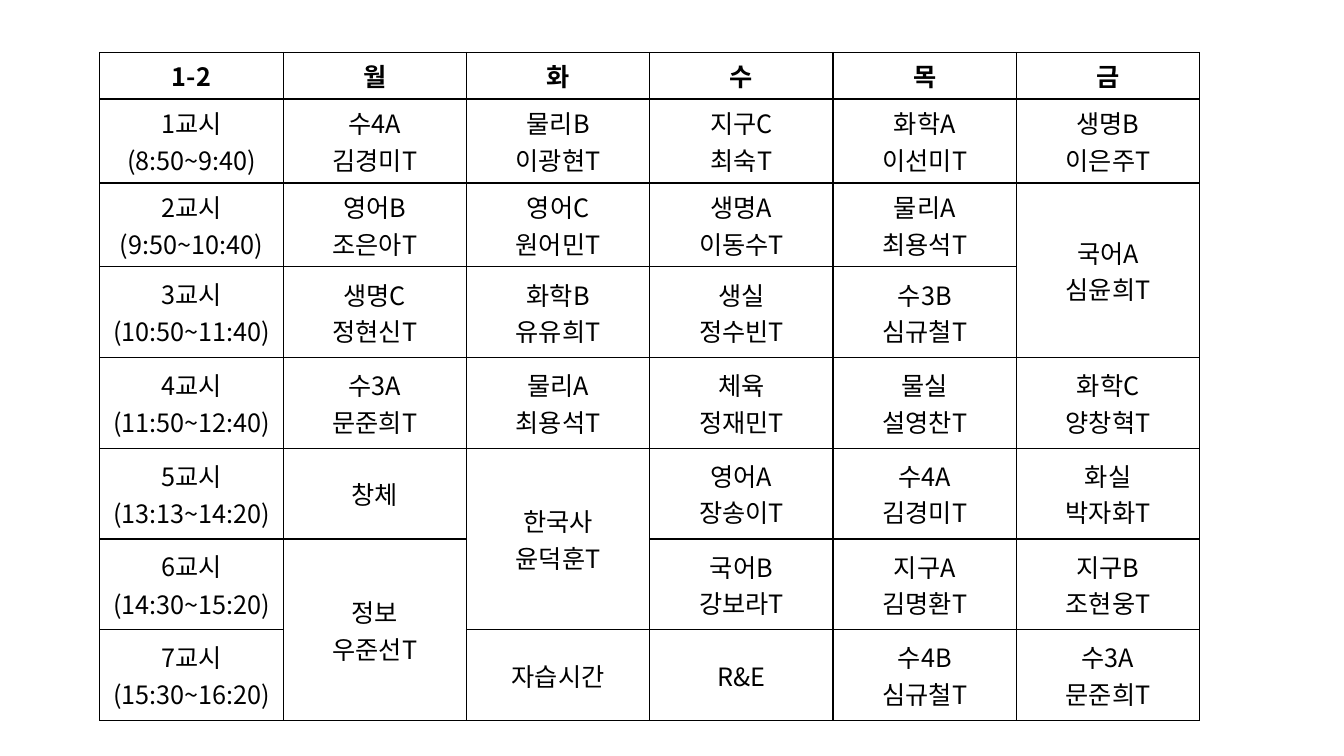
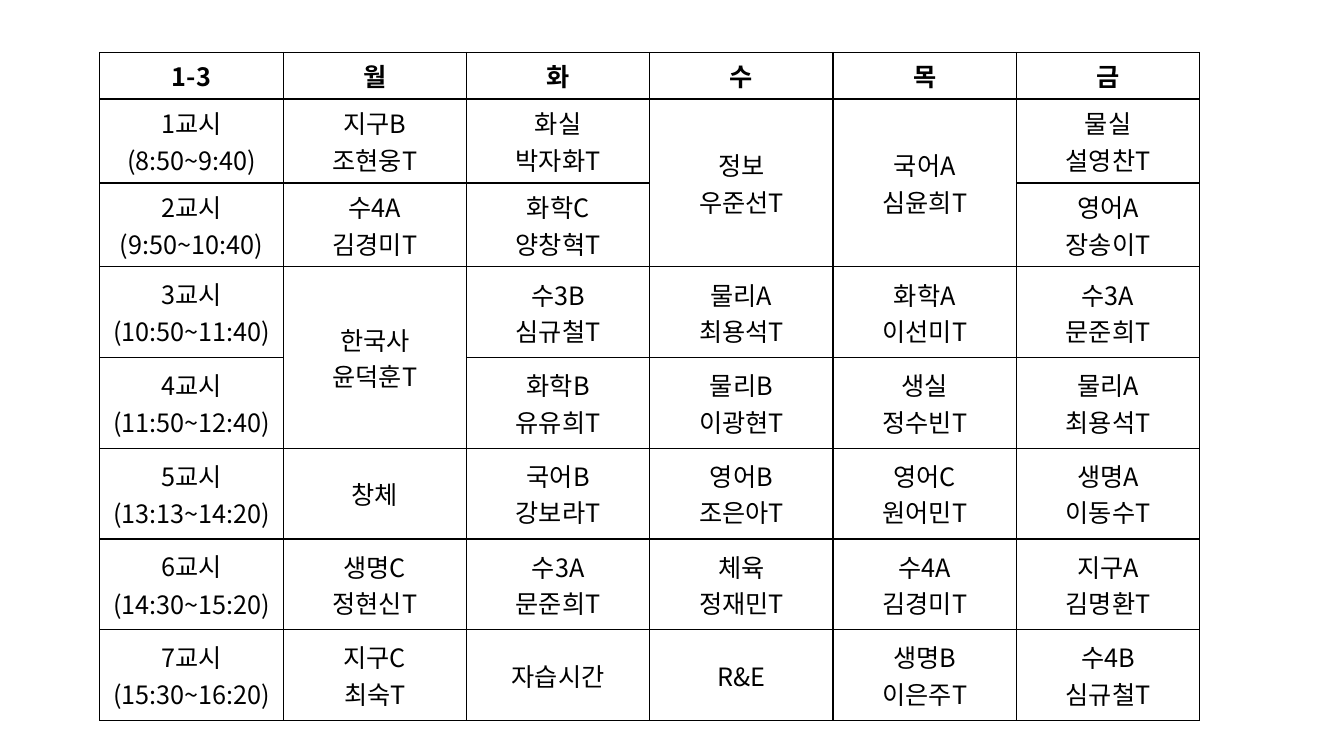
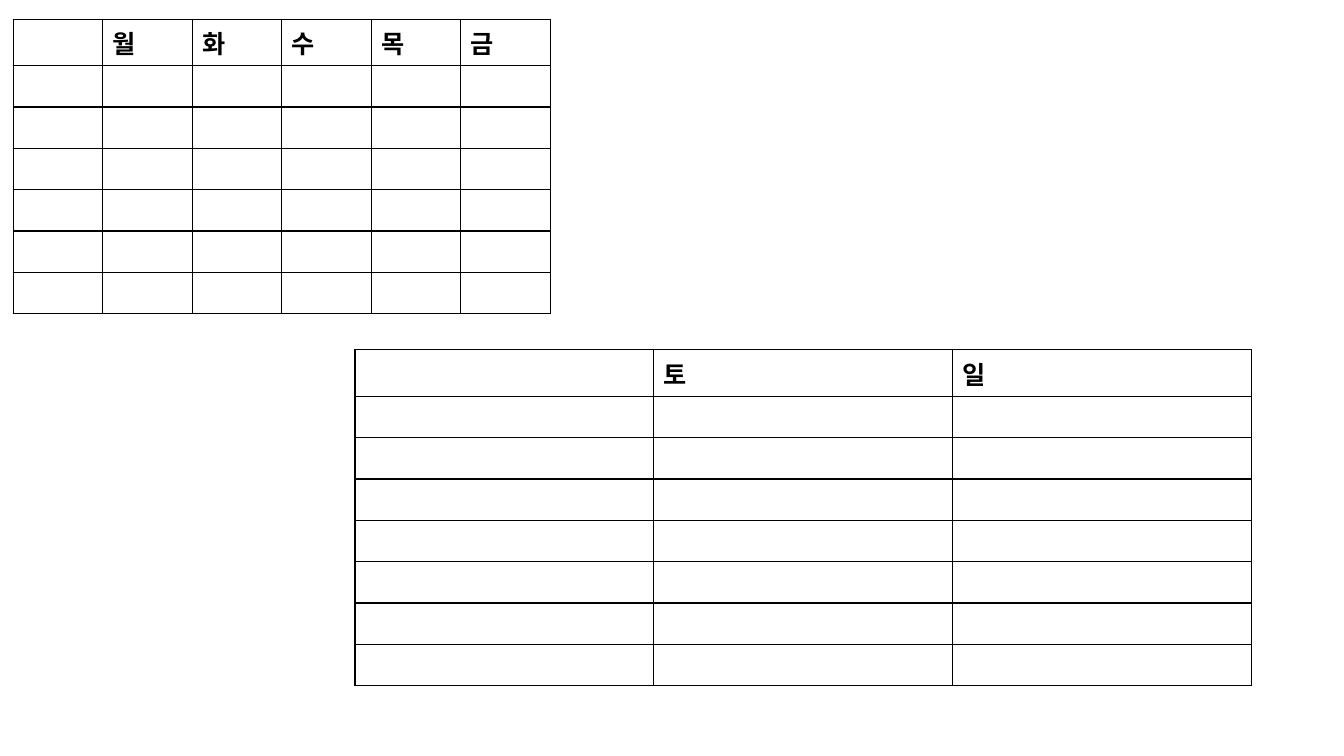
from lxml import etree
from pptx import Presentation
from pptx.dml.color import RGBColor
from pptx.enum.text import MSO_ANCHOR, PP_ALIGN
from pptx.oxml.ns import qn
from pptx.util import Inches, Pt

CENTER, MIDDLE = PP_ALIGN.CENTER, MSO_ANCHOR.MIDDLE
BLACK, WHITE = "000000", "FFFFFF"
KOREAN, LATIN = "Noto Sans CJK KR", "Calibri"
TEXT_SIZE = 18
BORDER = 1

WEEKDAYS = ["월", "화", "수", "목", "금"]
WEEKEND = ["토", "일"]
PERIODS = ["8:50~9:40", "9:50~10:40", "10:50~11:40", "11:50~12:40",
           "13:13~14:20", "14:30~15:20", "15:30~16:20"]
TIMETABLE_ROWS = [0.4, 0.76, 0.83] + [0.9] * 5
TIMETABLE_BOX = (0.99, 0.52, 10.91)
EMPTY_ROW = 0.41

TEACHERS = {
    "수3A": "문준희", "수3B": "심규철", "수4A": "김경미", "수4B": "심규철",
    "물리A": "최용석", "물리B": "이광현", "물실": "설영찬",
    "화학A": "이선미", "화학B": "유유희", "화학C": "양창혁", "화실": "박자화",
    "생명A": "이동수", "생명B": "이은주", "생명C": "정현신", "생실": "정수빈",
    "지구A": "김명환", "지구B": "조현웅", "지구C": "최숙",
    "영어A": "장송이", "영어B": "조은아", "영어C": "원어민",
    "국어A": "심윤희", "국어B": "강보라", "한국사": "윤덕훈",
    "정보": "우준선", "체육": "정재민",
}

# One line per period, one word per weekday; UP continues the lesson above
UP = "^"
LESSONS = {
    "1-2": """수4A 물리B 지구C 화학A 생명B
              영어B 영어C 생명A 물리A 국어A
              생명C 화학B 생실 수3B ^
              수3A 물리A 체육 물실 화학C
              창체 한국사 영어A 수4A 화실
              정보 ^ 국어B 지구A 지구B
              ^ 자습시간 R&E 수4B 수3A""",
    "1-3": """지구B 화실 정보 국어A 물실
              수4A 화학C ^ ^ 영어A
              한국사 수3B 물리A 화학A 수3A
              ^ 화학B 물리B 생실 물리A
              창체 국어B 영어B 영어C 생명A
              생명C 수3A 체육 수4A 지구A
              지구C 자습시간 R&E 생명B 수4B""",
}


def rgb(color):
    return RGBColor.from_string(color)


def style_cell(cell):
    """White cell with a thin black line on every side."""
    cell.fill.solid()
    cell.fill.fore_color.rgb = rgb(WHITE)
    tcPr = cell._tc.get_or_add_tcPr()
    for i, side in enumerate(("lnL", "lnR", "lnT", "lnB")):
        ln = etree.Element(qn("a:" + side), w=str(Pt(BORDER)))
        fill = etree.SubElement(ln, qn("a:solidFill"))
        etree.SubElement(fill, qn("a:srgbClr"), val=BLACK)
        tcPr.insert(i, ln)


def write_cell(cell, lines, font, bold=False, align=None, spacing=None):
    tf = cell.text_frame
    for i, line in enumerate(lines):
        p = tf.add_paragraph() if i else tf.paragraphs[0]
        p.alignment = align
        if spacing is not None:
            p.space_before = p.space_after = Pt(spacing)
        r = p.add_run()
        r.text = line
        r.font.name, r.font.size, r.font.bold = font, Pt(TEXT_SIZE), bold
        r.font.color.rgb = rgb(BLACK)
        if font == KOREAN:
            r.font._element.find(qn("a:latin")).addnext(
                etree.Element(qn("a:ea"), typeface=font))


def add_grid(s, box, columns, heights):
    """Ruled table with equal columns; box is left, top, width."""
    left, top, width = (Inches(v) for v in box)
    table = s.shapes.add_table(len(heights), columns, left, top, width,
                               Inches(sum(heights))).table
    table.first_row = table.horz_banding = False
    for column in table.columns:
        column.width = width // columns
    for row, height in zip(table.rows, heights):
        row.height = Inches(height)
    for cell in table.iter_cells():
        style_cell(cell)
    return table


def add_timetable(s, box, class_name, lessons):
    table = add_grid(s, box, 1 + len(WEEKDAYS), TIMETABLE_ROWS)
    for cell in table.iter_cells():
        cell.vertical_anchor = MIDDLE

    # Header row
    for c, text in enumerate([class_name] + WEEKDAYS):
        write_cell(table.cell(0, c), [text], KOREAN, True, CENTER,
                   None if c else 0.3)

    # Periods and lessons
    for row, (time, line) in enumerate(zip(PERIODS, lessons.splitlines()), 1):
        write_cell(table.cell(row, 0), [f"{row}교시", f"({time})"],
                   KOREAN, align=CENTER, spacing=0.3)
        for c, subject in enumerate(line.split(), 1):
            cell = table.cell(row, c)
            if subject == UP:
                table.cell(row - 1, c).merge(cell)
                continue
            lines = [subject]
            if subject in TEACHERS:
                lines.append(TEACHERS[subject] + "T")
            write_cell(cell, lines, KOREAN, align=CENTER)


def add_empty_planner(s, box, days, rows):
    table = add_grid(s, box, 1 + len(days), [EMPTY_ROW] * rows)
    for c, day in enumerate(days, 1):
        write_cell(table.cell(0, c), [day], LATIN, True)


prs = Presentation()
prs.slide_width, prs.slide_height = Inches(13.33), Inches(7.5)
blank = prs.slide_layouts[6]

# Class timetables
for class_name, lessons in LESSONS.items():
    add_timetable(prs.slides.add_slide(blank), TIMETABLE_BOX,
                  class_name, lessons)

# Empty weekday and weekend planners
s = prs.slides.add_slide(blank)
add_empty_planner(s, (0.13, 0.19, 5.33), WEEKDAYS, 7)
add_empty_planner(s, (3.52, 3.47, 8.89), WEEKEND, 8)

prs.save("out.pptx")
